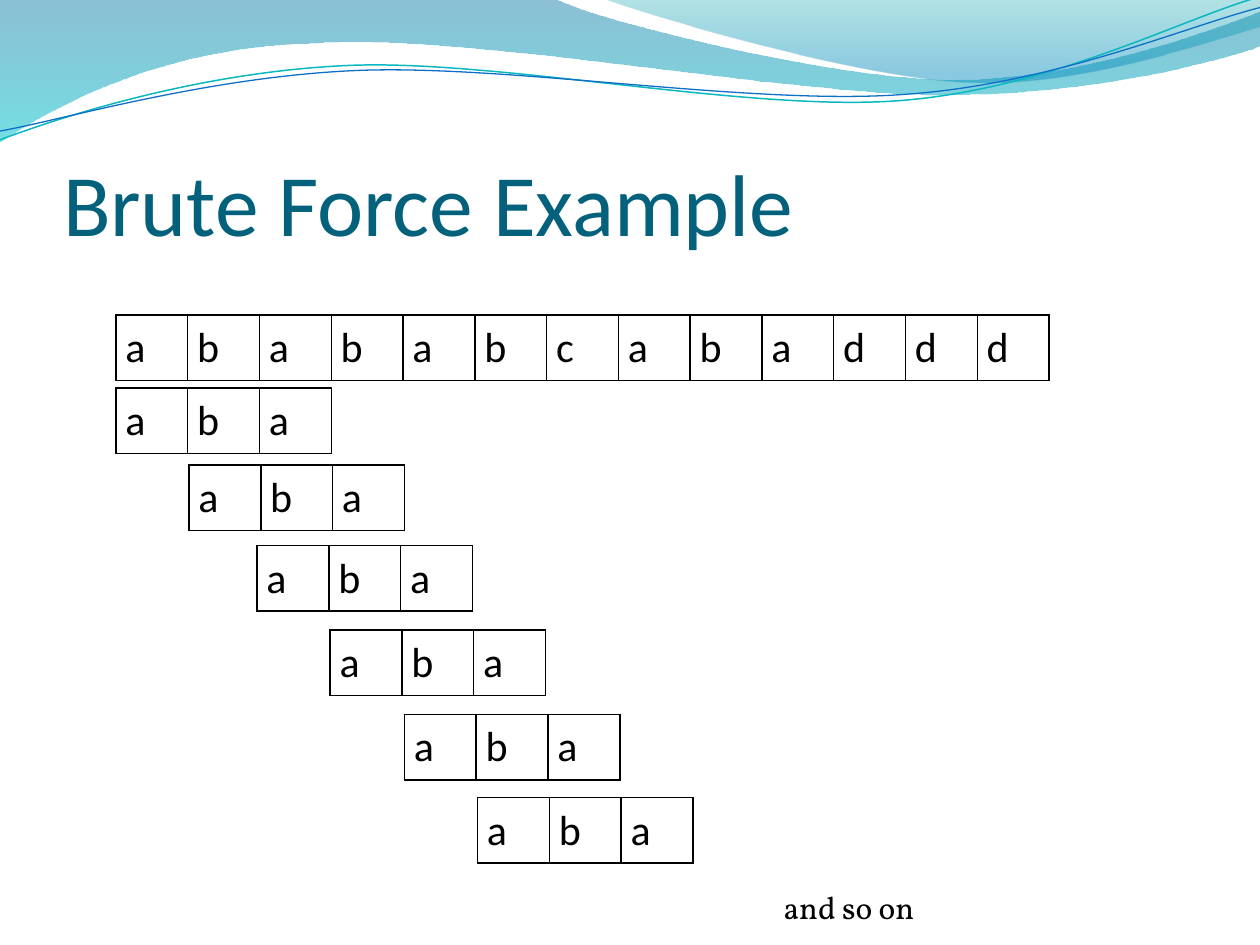
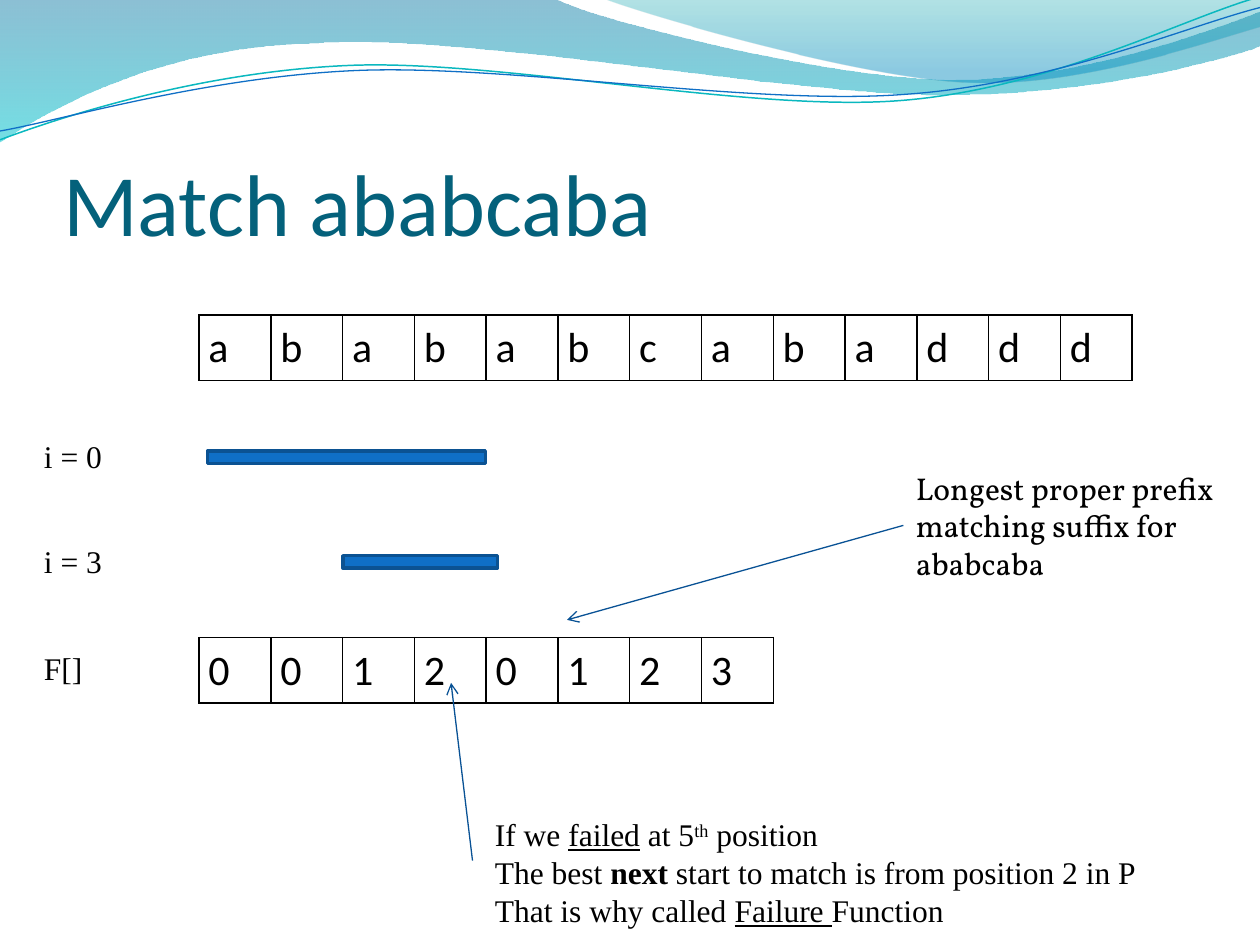
"""Build two slides on brute force search and the failure function."""
from dataclasses import dataclass

from lxml.etree import SubElement as Sub
from pptx import Presentation
from pptx.dml.color import RGBColor as Rgb
from pptx.enum.shapes import MSO_CONNECTOR as Link, MSO_SHAPE as Shape
from pptx.enum.text import MSO_ANCHOR as Anchor, MSO_AUTO_SIZE as Fit, PP_ALIGN as Align
from pptx.oxml.ns import qn
from pptx.util import Inches, Pt


@dataclass(frozen=True)
class Theme:
    ink: str = "000000"
    head: str = "04617B"
    bar: str = "0F6FC6"
    rim: str = "0B5292"
    arrow: str = "095295"
    teal: str = "0AB8BF"
    wide: tuple = ((0, "0074A1", 45), (1, "00C6CF", 55))
    crest: tuple = ((0, "00A1A9", 30), (0.8, "008BBF", 45))
    sans: str = "Calibri"
    serif: str = "Times New Roman"
    book: str = "Vollkorn"
    big: int = 50
    mid: int = 24
    small: int = 18
    cell: float = 0.57
    row: float = 0.52


WIDE = [(0, 0), (4.4, -0.01), (4.76, 0.17, 6.64, 0.63, 7.58, 0.63),
        (8.53, 0.63, 9.58, 0.26, 10, 0.09), (10.01, 0.36),
        (9.83, 0.44, 8.7, 0.76, 7.46, 0.75), (6.22, 0.75, 3.82, 0.28, 2.57, 0.34),
        (1.29, 0.36, 0.46, 0.83, -0.01, 1.13)]
CREST = [(4.79, -0.01), (5.09, 0.11, 6.82, 0.62, 7.69, 0.65),
         (8.56, 0.69, 9.61, 0.32, 10, 0.21), (10, 0)]
UPPER = [(0, 1.11), (0.48, 0.93, 1.58, 0.57, 2.77, 0.52),
         (3.95, 0.47, 5.93, 0.89, 7.13, 0.8), (8.33, 0.71, 9.38, 0.15, 9.98, -0.02)]
LOWER = [(0, 1.04), (0.47, 0.96, 1.64, 0.61, 2.83, 0.56),
         (4.03, 0.51, 5.97, 0.84, 7.17, 0.75), (8.36, 0.67, 9.41, 0.21, 10, 0.06)]


def bend(shape, parts):
    lines = shape.element.spPr.iter(qn("a:lnTo"))
    for part, line in [(part, next(lines)) for part in parts for _ in part[::2]]:
        if len(part) == 2:
            continue
        if line.getprevious().tag != qn("a:cubicBezTo") or len(line.getprevious()) == 3:
            line.tag = qn("a:cubicBezTo")
        else:
            line.getprevious().append(line[0])
            line.getparent().remove(line)


class Deck:
    def __init__(self, theme):
        self.theme = theme
        self.prs = Presentation()
        self.prs.slide_width, self.prs.slide_height = Inches(10), Inches(7.5)
        self.base = self.prs.slide_layouts[5]
        self.slide = None

    def open(self, title):
        first = self.slide is None
        self.slide = self.prs.slides.add_slide(self.base)
        if first:
            self.waves()
        head = self.slide.shapes.title
        head.left, head.top, head.width, head.height = map(Inches, (0.5, 0.77, 9, 1.25))
        frame = head.text_frame
        frame.auto_size = Fit.NONE
        frame.vertical_anchor = Anchor.BOTTOM
        frame.margin_left = frame.margin_right = frame.margin_bottom = 0
        frame.margin_top = Inches(0.05)
        para = frame.paragraphs[0]
        para.alignment = Align.LEFT
        self.run(para, title, self.theme.sans, self.theme.big, self.theme.head)

    def waves(self):
        theme = self.theme
        shapes = [self.wave(WIDE, stops=theme.wide), self.wave(CREST, stops=theme.crest),
                  self.wave(UPPER, line=(theme.teal, 0.85)),
                  self.wave(LOWER, line=(theme.bar, 0.75))]
        for num, shape in enumerate(shapes, 20):
            shape.element.nvSpPr.cNvPr.set("id", str(num))
            self.base.element.cSld.spTree.append(shape.element)

    def wave(self, parts, stops=None, line=None):
        start, *rest = [(Inches(x), Inches(y)) for part in parts
                        for x, y in zip(part[::2], part[1::2])]
        pen = self.slide.shapes.build_freeform(*start)
        pen.add_line_segments(rest, close=bool(stops))
        shape = pen.convert_to_shape()
        bend(shape, parts[1:])
        shape.shadow.inherit = False
        if line:
            shape.fill.background()
            self.stroke(shape, *line)
            return shape
        shape.line.fill.background()
        shape.fill.gradient()
        shape.fill.gradient_angle = 270
        for stop, (place, color, _) in zip(shape.fill.gradient_stops, stops):
            stop.position = place
            stop.color.rgb = Rgb.from_string(color)
        tints = shape.element.spPr.iter(qn("a:srgbClr"))
        for tint, (_, _, alpha) in zip(tints, stops):
            Sub(tint, qn("a:alpha"), val=str(alpha * 1000))
        return shape

    def stroke(self, shape, color, width):
        shape.line.color.rgb = Rgb.from_string(color)
        shape.line.width = Pt(width)

    def run(self, para, text, face, size, color, bold=None, under=None, lift=0):
        run = para.add_run()
        run.text = text
        font = run.font
        font.name, font.size, font.bold, font.underline = face, Pt(size), bold, under
        font.color.rgb = Rgb.from_string(color)
        if lift:
            run._r.get_or_add_rPr().set("baseline", str(lift * 1000))

    def text(self, x, y, w, h, lines, face):
        box = self.slide.shapes.add_textbox(*map(Inches, (x, y, w, h)))
        frame = box.text_frame
        frame.word_wrap = False
        frame.auto_size = Fit.SHAPE_TO_FIT_TEXT
        for num, line in enumerate(lines):
            para = frame.add_paragraph() if num else frame.paragraphs[0]
            for words, look in line:
                self.run(para, words, face, self.theme.small, self.theme.ink, **look)

    def cells(self, x, y, marks):
        theme = self.theme
        size = (x, y, theme.cell * len(marks), theme.row)
        table = self.slide.shapes.add_table(1, len(marks), *map(Inches, size)).table
        table.first_row = table.horz_banding = False
        for cell, mark in zip(table.iter_cells(), marks):
            cell.margin_left = cell.margin_right = Pt(5.4)
            cell.margin_top = cell.margin_bottom = 0
            props = cell._tc.get_or_add_tcPr()
            for side in "LRTB":
                edge = Sub(props, qn(f"a:ln{side}"), w=str(Pt(1)))
                Sub(Sub(edge, qn("a:solidFill")), qn("a:srgbClr"), val=theme.ink)
            cell.fill.background()
            para = cell.text_frame.paragraphs[0]
            para.line_spacing = 1.15
            self.run(para, mark, theme.sans, theme.mid, theme.ink)

    def bar(self, x, y, w, h):
        shape = self.slide.shapes.add_shape(Shape.MATH_MINUS, *map(Inches, (x, y, w, h)))
        shape.shadow.inherit = False
        shape.fill.solid()
        shape.fill.fore_color.rgb = Rgb.from_string(self.theme.bar)
        self.stroke(shape, self.theme.rim, 2)

    def arrow(self, *ends):
        link = self.slide.shapes.add_connector(Link.STRAIGHT, *map(Inches, ends))
        self.stroke(link, self.theme.arrow, 0.75)
        props = link.element.spPr
        Sub(props.find(qn("a:ln")), qn("a:tailEnd"), type="arrow")
        Sub(props, qn("a:effectLst"))


def plain(*lines):
    return [[(line, {})] for line in lines]


def main():
    theme = Theme()
    deck = Deck(theme)
    word = "abababcabaddd"

    deck.open("Brute Force Example")
    deck.cells(0.92, 2.5, word)
    for x, y in ((0.92, 3.08), (1.5, 3.69), (2.04, 4.33),
                 (2.62, 5), (3.21, 5.67), (3.79, 6.33)):
        deck.cells(x, y, "aba")
    deck.text(6.12, 7, 1.29, 0.4, plain("and so on"), theme.book)

    deck.open("Match ababcaba")
    deck.bar(1.25, 3.42, 3, 0.42)
    deck.text(0.25, 3.42, 0.69, 0.4, plain("i = 0"), theme.serif)
    deck.bar(2.5, 4.25, 1.67, 0.42)
    deck.text(0.25, 4.25, 0.69, 0.4, plain("i = 3"), theme.serif)
    deck.cells(1.58, 2.5, word)
    deck.text(7.17, 3.67, 2.59, 1.01,
              plain("Longest proper prefix", "matching suffix for", "ababcaba"), theme.book)
    deck.cells(1.58, 5.06, "00120123")
    deck.arrow(7.17, 4.17, 4.5, 4.92)
    under = {"under": True}
    deck.text(3.83, 6.42, 5.34, 1.01, [
        [("If we ", {}), ("failed", under), (" at 5", {}), ("th", {"lift": 30}),
         (" position", {})],
        [("The best ", {}), ("next", {"bold": True}),
         (" start to match is from position 2 in P", {})],
        [("That is why called ", {}), ("Failure ", under), ("Function", {})],
    ], theme.serif)
    deck.arrow(3.75, 6.83, 3.58, 5.42)
    deck.text(0.25, 5.1, 0.51, 0.4, plain("F[]"), theme.serif)

    deck.prs.save("out.pptx")


if __name__ == "__main__":
    main()
